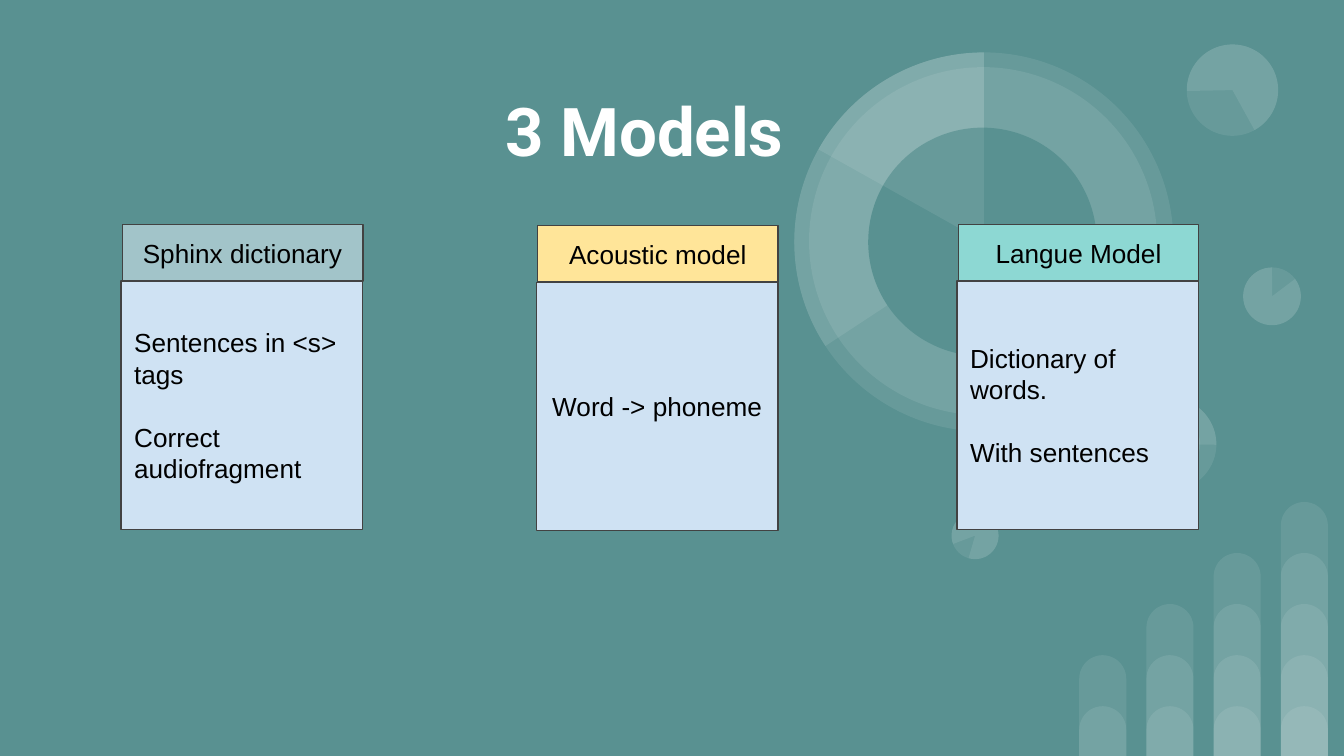
from lxml import etree
from pptx import Presentation
from pptx.dml.color import RGBColor
from pptx.enum.shapes import MSO_SHAPE
from pptx.enum.text import MSO_ANCHOR, PP_ALIGN
from pptx.oxml.ns import qn
from pptx.util import Inches, Pt

RECT = MSO_SHAPE.RECTANGLE
BAR = MSO_SHAPE.ROUND_2_SAME_RECTANGLE
DISC = MSO_SHAPE.OVAL
PIE = MSO_SHAPE.PIE
LEFT, CENTER = PP_ALIGN.LEFT, PP_ALIGN.CENTER
MIDDLE = MSO_ANCHOR.MIDDLE

COLORS = {
    "background": "599191",
    "white": "FFFFFF",
    "black": "000000",
    "outline": "424242",
    "body": "CFE2F3",
    "sphinx": "A2C4C9",
    "acoustic": "FFE599",
    "language": "8DD8D3",
}
VEIL_ALPHA = 9
SLIDE_WIDTH = 10
SLIDE_HEIGHT = SLIDE_WIDTH * 9 / 16

# Left, top and diameter of the decorative circles
BIG_RING = (5.91, 0.39, 2.82)
RING_BAND = (6.02, 0.5, 2.59)
RING_HOLE = (6.46, 0.95, 1.7)
TOP_DISC = (8.83, 0.33, 0.68)
RIGHT_DISC = (9.25, 1.99, 0.43)
LOW_DISC = (8.36, 2.96, 0.69)
LOW_DISC_CORE = (8.5, 3.09, 0.43)
SMALL_DISC = (7.08, 3.81, 0.35)

# Left, header top, header colour, header, body paragraphs, body alignment
MODELS = [
    (0.9, 1.67, "sphinx", "Sphinx dictionary",
     ["Sentences in <s> tags", "Correct audiofragment"], LEFT),
    (3.99, 1.68, "acoustic", "Acoustic model", ["Word -> phoneme"], CENTER),
    (7.12, 1.67, "language", "Langue Model",
     ["Dictionary of words.", "With sentences"], LEFT),
]


def rgb(name):
    return RGBColor.from_string(COLORS[name])


def add_filled(slide, kind, box, color, alpha=None, outline=None):
    """Add a preset shape; alpha is the opacity in percent."""
    shape = slide.shapes.add_shape(kind, *map(Inches, box))
    shape.shadow.inherit = False
    shape.fill.solid()
    shape.fill.fore_color.rgb = rgb(color)
    if alpha is not None:
        fill_color = shape.fill._xPr.find(qn("a:solidFill"))[0]
        etree.SubElement(fill_color, qn("a:alpha"), val=str(alpha * 1000))
    if outline:
        shape.line.color.rgb = rgb(outline)
        shape.line.width = Pt(0.75)
    else:
        shape.line.fill.background()
    return shape


def write_text(shape, paragraphs, size=14, font="Arial", color="black",
               bold=False, align=LEFT, gap=0):
    """Fill a shape with paragraphs, gap points apart."""
    frame = shape.text_frame
    frame.word_wrap = True
    frame.vertical_anchor = MIDDLE
    frame.margin_left = frame.margin_right = Inches(0.1)
    frame.margin_top = frame.margin_bottom = Inches(0.1)
    for index, text in enumerate(paragraphs):
        paragraph = frame.add_paragraph() if index else frame.paragraphs[0]
        paragraph.alignment = align
        if index:
            paragraph.space_before = Pt(gap)
        run = paragraph.add_run()
        run.text = text
        run.font.size = Pt(size)
        run.font.name = font
        run.font.bold = bold
        run.font.color.rgb = rgb(color)


def add_bars(slide):
    """Columns of overlapping translucent bars, each one level taller."""
    for column in range(4):
        for level in range(column + 2):
            height = 0.37 + 0.38 * level
            box = (8.03 + 0.5 * column, SLIDE_HEIGHT - height, 0.35, height)
            bar = add_filled(slide, BAR, box, "white", VEIL_ALPHA)
            bar.adjustments[0] = 0.5
            bar.adjustments[1] = 0


def add_circle(slide, circle, rotation=0, color="white", alpha=VEIL_ALPHA,
               kind=DISC):
    left, top, diameter = circle
    box = (left, top, diameter, diameter)
    shape = add_filled(slide, kind, box, color, alpha)
    shape.rotation = rotation
    return shape


def add_pie(slide, circle, start, end=162, rotation=0):
    """Add a sector; start and end are in units of 5/3 degree."""
    pie = add_circle(slide, circle, rotation, kind=PIE)
    pie.adjustments[0] = start
    pie.adjustments[1] = end


def add_circles(slide):
    add_circle(slide, RIGHT_DISC)
    add_circle(slide, SMALL_DISC, 196.2)
    add_circle(slide, LOW_DISC, 90)
    add_pie(slide, LOW_DISC, 82.45, 162.46, 90)
    add_circle(slide, LOW_DISC_CORE, 90)
    add_pie(slide, RIGHT_DISC, 193.77)
    add_circle(slide, TOP_DISC, 215.9)
    add_pie(slide, TOP_DISC, 193.77, 123.14, 215.9)
    add_circle(slide, BIG_RING)
    add_circle(slide, RING_BAND, 34.1)
    add_pie(slide, BIG_RING, 88.01)
    add_circle(slide, RING_HOLE, 34.1, color="background", alpha=None)
    add_pie(slide, BIG_RING, 125.54)
    add_pie(slide, SMALL_DISC, 193.77, rotation=196.2)


def add_model(slide, left, top, color, header, details, align):
    body = add_filled(slide, RECT, (left, top + 0.42, 1.8, 1.85), "body",
                      outline="outline")
    write_text(body, details, align=align, gap=17)
    heading = add_filled(slide, RECT, (left + 0.01, top, 1.79, 0.42), color,
                         outline="outline")
    write_text(heading, [header], align=CENTER)


def add_title(slide, text):
    title = slide.shapes.add_textbox(
        Inches(1.35), Inches(0.68), Inches(6.89), Inches(0.57))
    write_text(title, [text], size=36, font="Roboto", color="white",
               bold=True, align=CENTER)


def main():
    presentation = Presentation()
    presentation.slide_width = Inches(SLIDE_WIDTH)
    presentation.slide_height = Inches(SLIDE_HEIGHT)
    slide = presentation.slides.add_slide(presentation.slide_layouts[6])
    slide.background.fill.solid()
    slide.background.fill.fore_color.rgb = rgb("background")
    add_bars(slide)
    add_circles(slide)
    for model in MODELS:
        add_model(slide, *model)
    add_title(slide, "3 Models")
    presentation.save("out.pptx")


if __name__ == "__main__":
    main()
